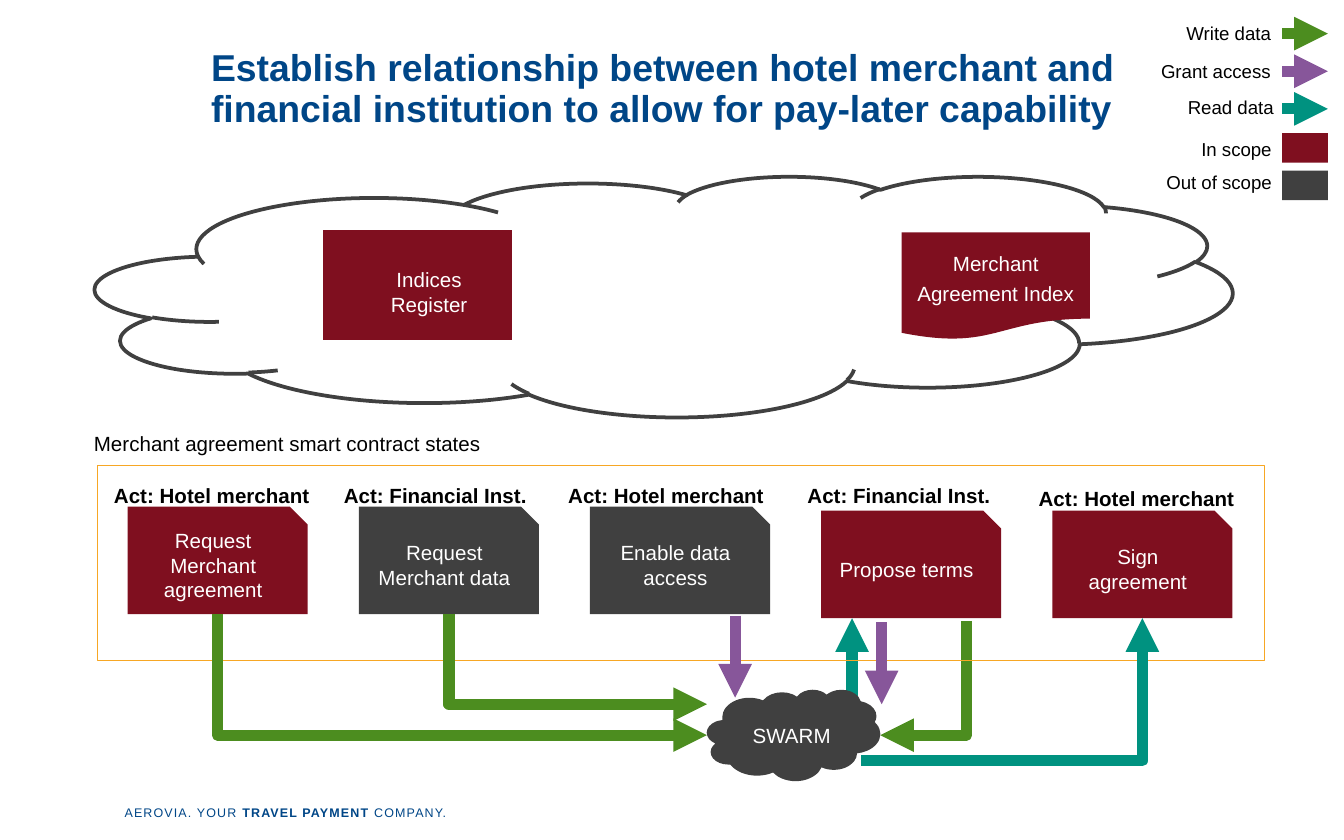
from dataclasses import dataclass
from typing import Optional

from lxml import etree
from pptx import Presentation
from pptx import util as u
from pptx.dml.color import RGBColor
from pptx.enum import shapes, text
from pptx.oxml.ns import qn

GREEN, PURPLE, TEAL = "4C8D1F", "87569A", "009280"
RED, GREY, BLUE = "7F0F1F", "404040", "004687"
BLACK, WHITE, ORANGE = "000000", "FFFFFF", "F7A724"
KIND = shapes.MSO_SHAPE
ALIGN = text.PP_ALIGN


@dataclass
class State:
    actor: str
    label_left: float
    task: str
    colour: str
    drop: float = 0


@dataclass
class LegendEntry:
    label: str
    left: float
    top: float
    width: float
    colour: str
    mark_top: float
    is_arrow: bool


@dataclass
class Route:
    colour: str
    points: list[tuple[float, float]]


STATES = [
    State("Act: Hotel merchant", 0.75, "Request Merchant agreement", RED),
    State("Act: Financial Inst.", 2.46, "Request Merchant data", GREY),
    State("Act: Hotel merchant", 4.13, "Enable data access", GREY),
    State("Act: Financial Inst.", 5.91, "Propose terms", RED, 0.03),
    State("Act: Hotel merchant", 7.63, "Sign agreement", RED, 0.03),
]
LEGEND = [
    LegendEntry("Write data", 8.73, 0.08, 0.84, GREEN, 0.24, True),
    LegendEntry("Grant access", 8.54, 0.36, 1.02, PURPLE, 0.52, True),
    LegendEntry("Read data", 8.74, 0.63, 0.84, TEAL, 0.8, True),
    LegendEntry("In scope", 8.84, 0.94, 0.73, RED, 0.99, False),
    LegendEntry("Out of scope", 8.58, 1.19, 0.99, GREY, 1.27, False),
]
ROUTES_BEHIND = [
    Route(GREEN, [(7.19, 4.62), (7.19, 5.47), (6.55, 5.47)]),
    Route(TEAL, [(6.34, 5.58), (6.34, 4.6)]),
]
ROUTES_IN_FRONT = [
    Route(GREEN, [(1.62, 4.57), (1.62, 5.47), (5.26, 5.47)]),
    Route(TEAL, [(6.41, 5.66), (8.5, 5.66), (8.5, 4.6)]),
    Route(PURPLE, [(6.56, 4.63), (6.56, 5.24)]),
    Route(PURPLE, [(5.47, 4.58), (5.47, 5.19)]),
    Route(GREEN, [(3.34, 4.57), (3.34, 5.24), (5.26, 5.24)]),
]


def rgb(colour: str) -> RGBColor:
    return RGBColor.from_string(colour)


def style_para(para, size: float, colour: str, bold: bool = False,
               align=ALIGN.LEFT, spacing: float = 1.0) -> None:
    para.alignment = align
    para.line_spacing = spacing
    para.font.name = "Arial"
    para.font.size = u.Pt(size)
    para.font.bold = bold
    para.font.color.rgb = rgb(colour)


def add_shape(page, kind, left: float, top: float, width: float, height: float,
              fill: Optional[str] = None, line: Optional[str] = None,
              weight: float = 1, label: str = "", align=ALIGN.CENTER,
              spacing: float = 1.0):
    shape = page.shapes.add_shape(kind, u.Inches(left), u.Inches(top),
                                  u.Inches(width), u.Inches(height))
    shape.shadow.inherit = False
    if fill:
        shape.fill.solid()
        shape.fill.fore_color.rgb = rgb(fill)
    else:
        shape.fill.background()
    if line:
        shape.line.color.rgb = rgb(line)
        shape.line.width = u.Pt(weight)
    else:
        shape.line.fill.background()
    if label:
        frame = shape.text_frame
        frame.text = label
        frame.word_wrap = True
        frame.vertical_anchor = text.MSO_ANCHOR.MIDDLE
        for para in frame.paragraphs:
            style_para(para, 11, WHITE, align=align, spacing=spacing)
    return shape


def add_box(page, left: float, top: float, width: float, height: float):
    return page.shapes.add_textbox(u.Inches(left), u.Inches(top),
                                   u.Inches(width), u.Inches(height)).text_frame


def clear_margins(frame) -> None:
    frame.margin_left = frame.margin_right = 0
    frame.margin_top = frame.margin_bottom = 0


def add_label(page, label: str, left: float, top: float, width: float,
              height: float, size: float = 11, bold: bool = False) -> None:
    frame = add_box(page, left, top, width, height)
    frame.text = label
    frame.word_wrap = False
    frame.auto_size = text.MSO_AUTO_SIZE.SHAPE_TO_FIT_TEXT
    style_para(frame.paragraphs[0], size, BLACK, bold, spacing=1.2)


def add_route(page, route: Route) -> None:
    """Draw a thick arrow, straight or with corners, ending at the last point."""
    points = [(u.Inches(x), u.Inches(y)) for x, y in route.points]
    if len(points) == 2:
        arrow = page.shapes.add_connector(shapes.MSO_CONNECTOR.STRAIGHT,
                                          *points[0], *points[1])
        etree.SubElement(arrow._element.spPr, qn("a:effectLst"))
    else:
        builder = page.shapes.build_freeform(*points[0])
        builder.add_line_segments(points[1:], close=False)
        arrow = builder.convert_to_shape()
        arrow.shadow.inherit = False
        arrow.fill.background()
        for outline in arrow._element.iter(qn("a:path")):
            outline.set("fill", "none")
    arrow.line.color.rgb = rgb(route.colour)
    arrow.line.width = u.Pt(6)
    stroke = arrow.line._get_or_add_ln()
    etree.SubElement(stroke, qn("a:round"))
    etree.SubElement(stroke, qn("a:tailEnd"), type="triangle")


def add_title(page) -> None:
    frame = add_box(page, 1.57, 0.2, 8.19, 0.94)
    frame.text = ("Establish relationship between hotel merchant and\v"
                  "financial institution to allow for pay-later capability")
    frame.word_wrap = True
    frame.vertical_anchor = text.MSO_ANCHOR.MIDDLE
    clear_margins(frame)
    style_para(frame.paragraphs[0], 20, BLUE, True, spacing=0.9)


def add_footer(page) -> None:
    frame = add_box(page, 0.91, 6, 2.43, 0.11)
    frame.word_wrap = False
    clear_margins(frame)
    para = frame.paragraphs[0]
    style_para(para, 6.7, BLUE, align=ALIGN.CENTER, spacing=0.95)
    for words, bold in (("AEROVIA. YOUR ", False), ("TRAVEL PAYMENT", True),
                        (" COMPANY.", False)):
        span = para.add_run()
        span.text = words
        span.font.bold = bold
        span._r.get_or_add_rPr().set("spc", "60")


def add_states(page) -> None:
    for index, state in enumerate(STATES):
        add_shape(page, KIND.SNIP_1_RECTANGLE, 0.95 + 1.72 * index,
                  3.77 + state.drop, 1.34, 0.8, state.colour, label=state.task)
        label_top = 3.53 if index == len(STATES) - 1 else 3.51
        width = 1.73 if "Hotel" in state.actor else 1.63
        add_label(page, state.actor, state.label_left, label_top, width, 0.32,
                  bold=True)


def add_legend(page) -> None:
    for entry in LEGEND:
        if entry.is_arrow:
            add_route(page, Route(entry.colour, [(9.54, entry.mark_top + 0.01),
                                                 (9.88, entry.mark_top + 0.01)]))
        else:
            add_shape(page, KIND.RECTANGLE, 9.54, entry.mark_top, 0.34, 0.22,
                      entry.colour)
        add_label(page, entry.label, entry.left, entry.top, entry.width, 0.28, 10)


def main() -> None:
    deck = Presentation()
    deck.slide_width, deck.slide_height = u.Inches(10), u.Inches(6.25)
    page = deck.slides.add_slide(deck.slide_layouts[6])
    add_footer(page)
    for route in ROUTES_BEHIND:
        add_route(page, route)
    add_title(page)
    add_shape(page, KIND.FLOWCHART_INTERNAL_STORAGE, 2.4, 1.71, 1.41, 0.82, RED,
              label="Indices\nRegister")
    add_states(page)
    add_shape(page, KIND.CLOUD, 5.26, 5.13, 1.29, 0.68, GREY, label="SWARM",
              align=ALIGN.RIGHT, spacing=1.2)
    add_shape(page, KIND.RECTANGLE, 0.72, 3.46, 8.69, 1.45, line=ORANGE, weight=0.25)
    add_label(page, "Merchant agreement smart contract states", 0.6, 3.12, 3.09, 0.32)
    add_shape(page, KIND.CLOUD, 0.71, 1.31, 8.46, 1.79, line=GREY, weight=2)
    add_legend(page)
    add_shape(page, KIND.FLOWCHART_DOCUMENT, 6.71, 1.73, 1.4, 0.8, RED,
              label="Merchant Agreement Index", spacing=1.2)
    for route in ROUTES_IN_FRONT:
        add_route(page, route)
    deck.save("out.pptx")


if __name__ == "__main__":
    main()
